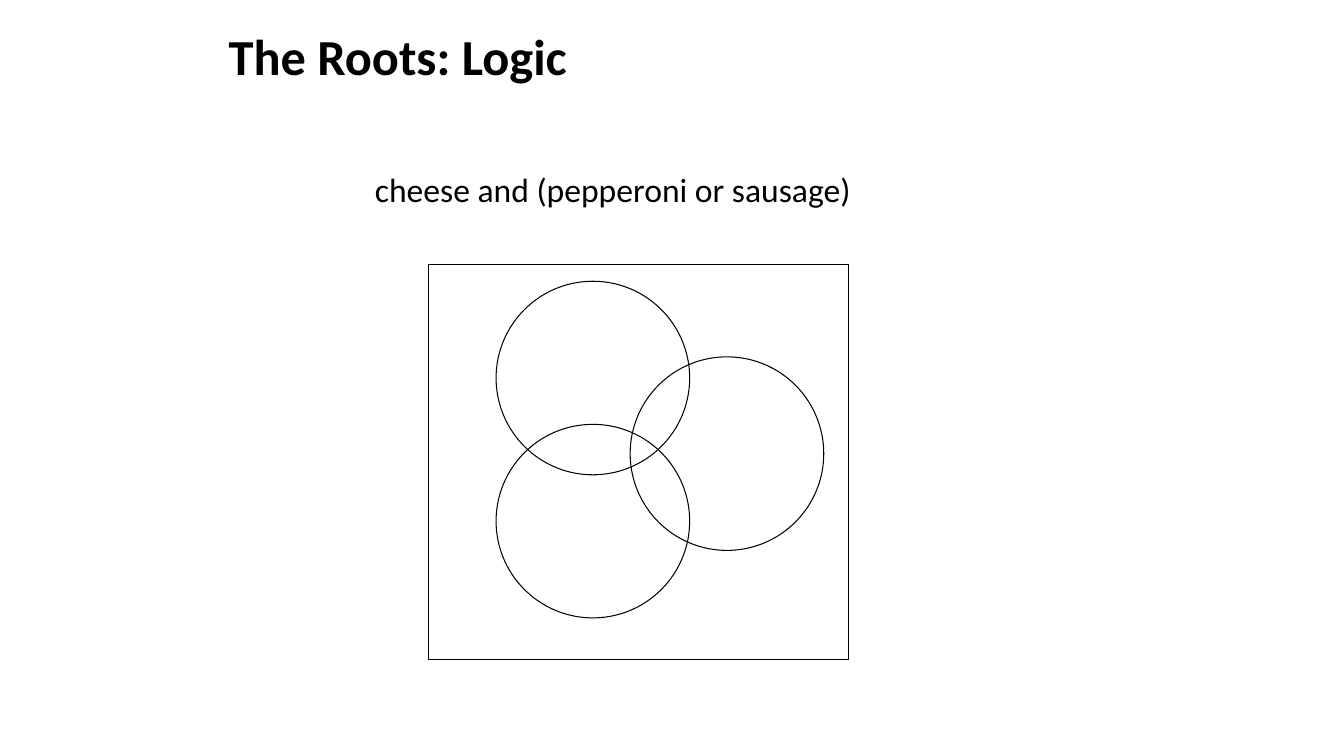
"""Build the slide on logic with a three-circle Venn diagram."""
from dataclasses import dataclass

import pptx
import pptx.dml.color
import pptx.enum.shapes
import pptx.enum.text
import pptx.util
from pptx.util import Inches

BLACK = pptx.dml.color.RGBColor(0, 0, 0)
WHITE = pptx.dml.color.RGBColor(255, 255, 255)
MSO_SHAPE = pptx.enum.shapes.MSO_SHAPE
ANCHOR = pptx.enum.text.MSO_ANCHOR
DIAMETER = 1.92


@dataclass
class Outline:
    kind: MSO_SHAPE
    left: float
    top: float
    width: float = DIAMETER
    height: float = DIAMETER


@dataclass
class Label:
    text: str
    left: float
    top: float
    width: float
    height: float
    size: int
    bold: bool = False
    anchor: ANCHOR = ANCHOR.TOP
    spacing: float = 1.0


VENN = [
    Outline(MSO_SHAPE.OVAL, 4.92, 2.79),
    Outline(MSO_SHAPE.OVAL, 6.25, 3.54),
    Outline(MSO_SHAPE.RECTANGLE, 4.25, 2.62, 4.17, 3.92),
    Outline(MSO_SHAPE.OVAL, 4.92, 4.21),
]
TITLE = Label("The Roots: Logic", 2.17, 0.3, 9, 0.58, 36, True, ANCHOR.MIDDLE, 0.9)
QUERY = Label("cheese and (pepperoni or sausage)", 3.62, 1.63, 5.54, 0.5, 24)


def draw_outline(s: pptx.slide.Slide, outline: Outline) -> None:
    sp = s.shapes.add_shape(
        outline.kind, Inches(outline.left), Inches(outline.top),
        Inches(outline.width), Inches(outline.height))
    sp.shadow.inherit = False
    sp.fill.background()
    sp.line.color.rgb = BLACK
    sp.line.width = pptx.util.Pt(0.75)


def draw_label(s: pptx.slide.Slide, label: Label) -> None:
    sp = s.shapes.add_textbox(
        Inches(label.left), Inches(label.top),
        Inches(label.width), Inches(label.height))
    tf = sp.text_frame
    tf.word_wrap = True
    tf.vertical_anchor = label.anchor
    p = tf.paragraphs[0]
    p.text = label.text
    p.line_spacing = label.spacing
    p.font.name = "Calibri"
    p.font.size = pptx.util.Pt(label.size)
    p.font.bold = label.bold
    p.font.color.rgb = BLACK


def main() -> None:
    prs = pptx.Presentation()
    prs.slide_width = Inches(13.33)
    prs.slide_height = Inches(7.5)
    s = prs.slides.add_slide(prs.slide_layouts[6])
    s.background.fill.solid()
    s.background.fill.fore_color.rgb = WHITE
    draw_label(s, TITLE)
    for outline in VENN:
        draw_outline(s, outline)
    draw_label(s, QUERY)
    prs.save("out.pptx")


if __name__ == "__main__":
    main()
